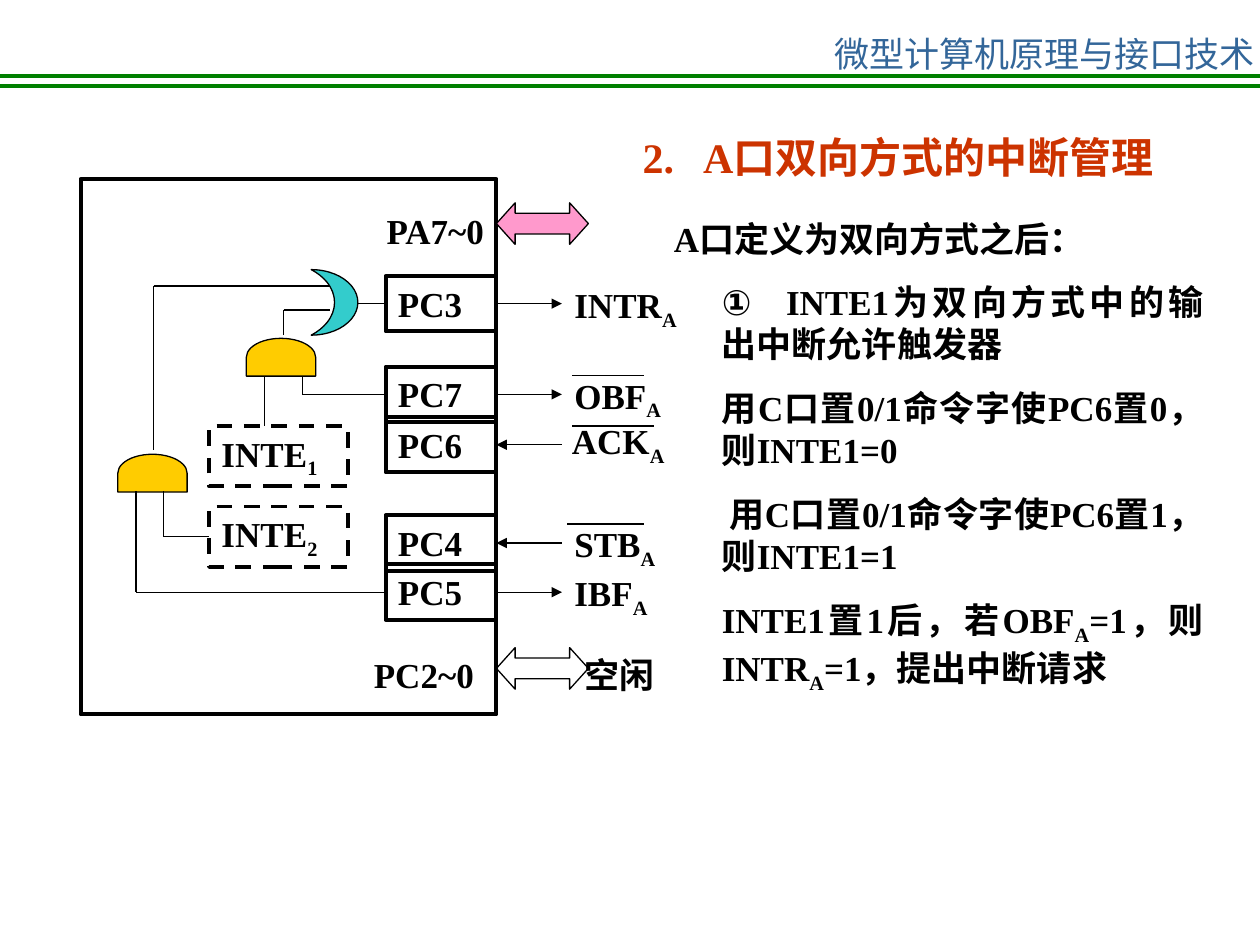
from dataclasses import dataclass
from lxml.etree import SubElement
from pptx import Presentation
from pptx.dml.color import RGBColor
from pptx.enum.dml import MSO_LINE
from pptx.enum.shapes import MSO_CONNECTOR, MSO_SHAPE
from pptx.enum.text import MSO_ANCHOR, PP_ALIGN
from pptx.oxml.ns import qn
from pptx.util import Inches, Pt


@dataclass(frozen=True)
class Theme:
    ink: str = "000000"
    green: str = "008000"
    blue: str = "336699"
    red: str = "CC3300"
    gold: str = "FFCC00"
    teal: str = "33CCCC"
    pink: str = "FF99CC"
    latin: str = "Times New Roman"
    asian: str = "Noto Sans CJK SC"
    symbol: str = "Arial"
    head: float = 24
    body: float = 20
    thin: float = 0.75
    thick: float = 2.25


T = Theme()
LEFT, RIGHT = 1, 3  # connection sites


def put(frame, text, size=T.body, color=T.ink, bold=True, font=T.latin,
        align=PP_ALIGN.LEFT, gap=0, tab=None, indent=0, mark=""):
    """Add a paragraph; "_x" sets x as a subscript, mark is a leading symbol."""
    para = frame.paragraphs[0]
    if para.text:
        para = frame.add_paragraph()
    para.alignment = align
    para.space_before = Pt(gap)
    props = para._p.get_or_add_pPr()
    if indent:
        props.set("indent", str(Inches(indent)))
    if tab:
        stops = SubElement(props, qn("a:tabLst"))
        SubElement(stops, qn("a:tab"), pos=str(Inches(tab)), algn="l")

    def add(words, latin, asian, sub=False):
        if not words:
            return
        run = para.add_run()
        run.text = words
        run.font.size, run.font.bold = Pt(size), bold
        run.font.color.rgb = RGBColor.from_string(color)
        run.font.name = latin
        rpr = run._r.get_or_add_rPr()
        SubElement(rpr, qn("a:ea"), typeface=asian)
        if sub:
            rpr.set("baseline", "-25000")

    add(mark, T.symbol, T.symbol)
    first, *rest = text.split("_")
    add(first, font, T.asian)
    for part in rest:
        add(part[0], font, T.asian, sub=True)
        add(part[1:], font, T.asian)


def label(slide, box, text, **form):
    frame = slide.shapes.add_textbox(*map(Inches, box)).text_frame
    frame.word_wrap = True
    put(frame, text, **form)
    return frame


def block(slide, kind, box, fill=None, width=T.thin, dash=None, text=None):
    shape = slide.shapes.add_shape(kind, *map(Inches, box))
    shape.shadow.inherit = False
    if fill:
        shape.fill.solid()
        shape.fill.fore_color.rgb = RGBColor.from_string(fill)
    else:
        shape.fill.background()
    shape.line.color.rgb = RGBColor.from_string(T.ink)
    shape.line.width = Pt(width)
    if dash:
        shape.line.dash_style = dash
    if text:
        shape.text_frame.vertical_anchor = MSO_ANCHOR.TOP
        put(shape.text_frame, text)
    return shape


def link(slide, start, end, color=T.ink, width=T.thin, arrow=None,
         begin=None, finish=None):
    line = slide.shapes.add_connector(
        MSO_CONNECTOR.STRAIGHT, *map(Inches, (*start, *end)))
    if begin:
        line.begin_connect(*begin)
    if finish:
        line.end_connect(*finish)
    line.line.color.rgb = RGBColor.from_string(color)
    line.line.width = Pt(width)
    if arrow:
        SubElement(line.line._get_or_add_ln(), qn(f"a:{arrow}End"),
                   type="triangle")
    SubElement(line._element.spPr, qn("a:effectLst"))


def wire(slide, points, finish=None):
    for i, (start, end) in enumerate(zip(points, points[1:])):
        last = i == len(points) - 2
        link(slide, start, end, finish=finish if last else None)


def banner(slide, x, y, w):
    # Course name on one line above two green rules
    frame = label(slide, (x + w - 3.42, y + 0.21, 3.42, 0.39),
                  "微型计算机原理与接口技术", color=T.blue, bold=False,
                  font=T.asian, align=PP_ALIGN.CENTER)
    frame.margin_left = frame.margin_right = 0
    for rule in (y + 0.6, y + 0.68):
        link(slide, (x, rule), (x + w, rule), color=T.green, width=T.thick)


def heading(slide, x, y, w, h):
    title = slide.shapes.title
    title.left, title.top, title.width, title.height = map(
        Inches, (x, y, w, h))
    title.text_frame.vertical_anchor = MSO_ANCHOR.TOP
    put(title.text_frame, "2.\tA口双向方式的中断管理", size=T.head,
        color=T.red, tab=0.48)


def port(slide, x, y, w, h):
    """Chip outline with its pins, signals, gates and wires."""
    edge = x + w
    block(slide, MSO_SHAPE.RECTANGLE, (x, y, w, h), width=T.thick)

    # Pins: name, top, signal, outgoing, overbar (start, end), label shift
    pins = (("PC3", 0.77, "INTR_A", True, None, (0.52, 0.01)),
            ("PC7", 1.49, "OBF_A", True, (0.6, 1.17), (0.52, 0.01)),
            ("PC6", 1.89, "ACK_A", False, (0.6, 1.25), (0.5, -0.03)),
            ("PC4", 2.67, "STB_A", False, (0.56, 1.17), (0.52, 0.01)),
            ("PC5", 3.06, "IBF_A", True, None, (0.52, 0.01)))
    pin, mid = {}, {}
    for name, top, signal, out, bar, (dx, dy) in pins:
        top += y
        pin[name] = block(slide, MSO_SHAPE.RECTANGLE,
                          (edge - 0.88, top, 0.88, 0.44),
                          width=T.thick, text=name)
        mid[name] = top + 0.22
        link(slide, (edge, mid[name]), (edge + 0.52, mid[name]),
             arrow="tail" if out else "head", begin=(pin[name], RIGHT))
        label(slide, (edge + dx, top + dy, 1.09, 0.48), signal)
        if bar:
            link(slide, (edge + bar[0], top + 0.07),
                 (edge + bar[1], top + 0.07))

    # Buses
    for name, top, room, fill in (("PA7~0", 0.19, 0, T.pink),
                                  ("PC2~0", 3.72, 0.08, None)):
        label(slide, (edge - 1.5 - room, y + top, 1.5, 0.44), name,
              align=PP_ALIGN.RIGHT)
        arrow = block(slide, MSO_SHAPE.LEFT_RIGHT_ARROW,
                      (edge, y + top, 0.73, 0.33), fill=fill)
        arrow.adjustments[1] = 0.45
    label(slide, (edge + 0.6, y + 3.72, 0.77, 0.44), "空闲")

    # Interrupt enable flip-flops
    inte = [block(slide, MSO_SHAPE.RECTANGLE, (x + 1.02, y + top, 1.1, 0.48),
                  width=T.thick, dash=MSO_LINE.DASH, text=name)
            for name, top in (("INTE_1", 1.96), ("INTE_2", 2.6))]

    # AND gates, turned upward, and the OR gate
    for gx, gy in ((1.44, 1.14), (0.42, 2.06)):
        gate = block(slide, MSO_SHAPE.FLOWCHART_DELAY,
                     (x + gx, y + gy, 0.3, 0.55), fill=T.gold)
        gate.rotation = 270
    moon = block(slide, MSO_SHAPE.MOON, (x + 1.83, y + 0.72, 0.37, 0.52),
                 fill=T.teal)
    moon.rotation = 180

    # Wires
    pole = edge - 0.88
    wire(slide, [(x + 2.2, mid["PC3"]), (pole, mid["PC3"])],
         (pin["PC3"], LEFT))
    wire(slide, [(x + 1.76, y + 1.57), (x + 1.76, mid["PC7"]),
                 (pole, mid["PC7"])], (pin["PC7"], LEFT))
    wire(slide, [(x + 0.44, y + 2.48), (x + 0.44, mid["PC5"]),
                 (pole, mid["PC5"])], (pin["PC5"], LEFT))
    wire(slide, [(x + 0.66, y + 2.48), (x + 0.66, y + 2.84),
                 (x + 1.02, y + 2.84)], (inte[1], LEFT))
    wire(slide, [(x + 1.46, y + 1.57), (x + 1.46, y + 1.96)])
    wire(slide, [(x + 1.61, y + 1.24), (x + 1.61, y + 1.04),
                 (x + 1.98, y + 1.04)])
    wire(slide, [(x + 0.58, y + 2.15), (x + 0.58, y + 0.85),
                 (x + 1.98, y + 0.85)])


def notes(slide, x, y, w, h):
    # Lead-in, then the explanation set further in
    form = dict(align=PP_ALIGN.JUSTIFY)
    label(slide, (x, y, w - 0.48, 0.44), "A口定义为双向方式之后：", **form)
    frame = label(slide, (x + 0.38, y + 0.5, w - 0.38, h - 0.5),
                  "\tINTE1为双向方式中的输出中断允许触发器",
                  mark="①", tab=0.51, **form)
    put(frame, "用C口置0/1命令字使PC6置0，则INTE1=0", gap=12.5, **form)
    put(frame, "用C口置0/1命令字使PC6置1，则INTE1=1", gap=12.5,
        indent=0.06, **form)
    put(frame, "INTE1置1后，若OBF_A=1，则INTR_A=1，提出中断请求",
        gap=12.5, **form)


def main():
    deck = Presentation()
    deck.slide_width, deck.slide_height = Inches(10), Inches(7.5)
    slide = deck.slides.add_slide(deck.slide_layouts[5])
    banner(slide, 0, 0, 10)
    port(slide, 0.64, 1.42, 3.3, 4.25)
    heading(slide, 5, 0.99, 5, 0.5)
    notes(slide, 5.25, 1.68, 4.4, 3.88)
    deck.save("out.pptx")


if __name__ == "__main__":
    main()
